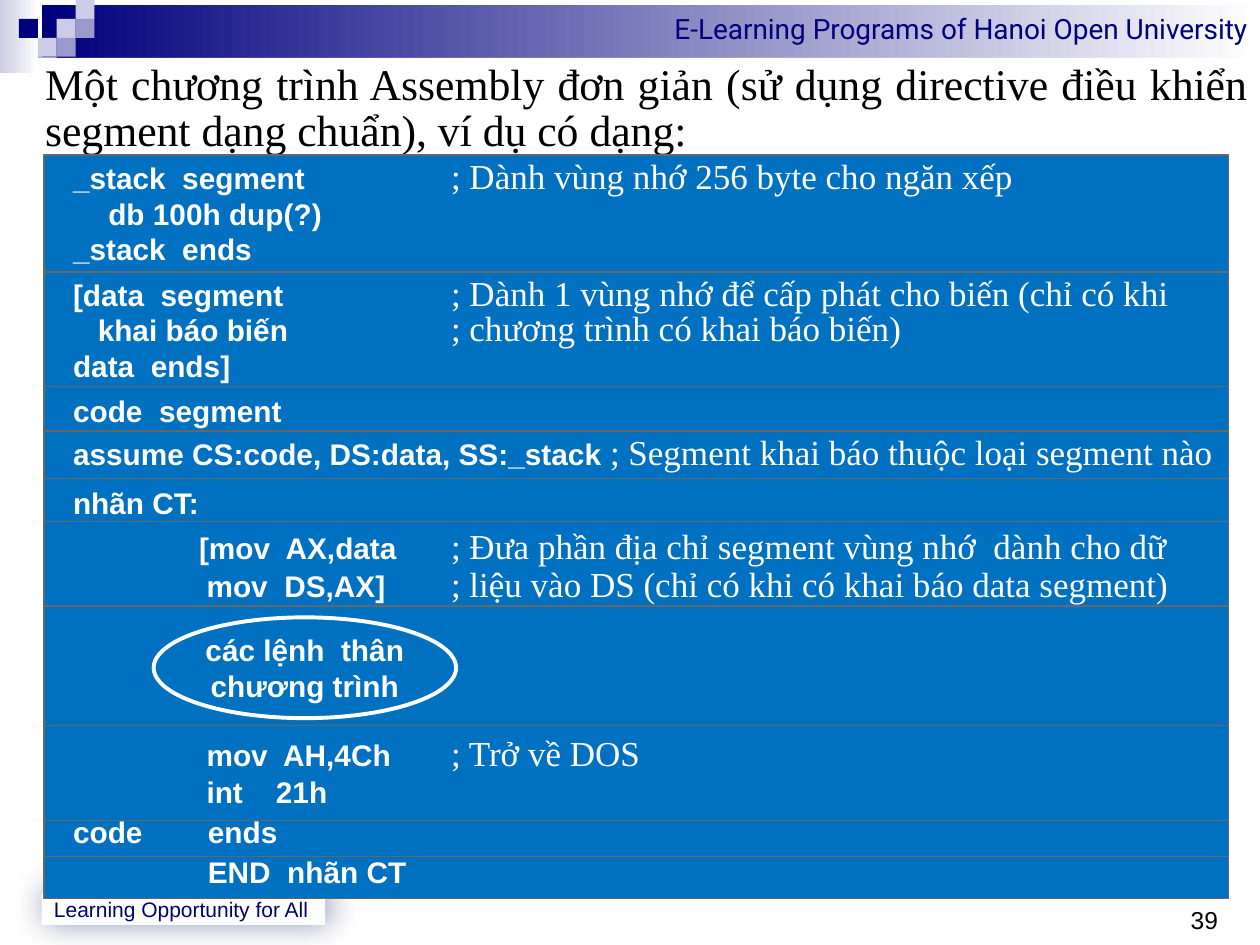
from lxml.etree import SubElement
from pptx import Presentation
from pptx.dml.color import RGBColor
from pptx.enum.shapes import MSO_SHAPE
from pptx.enum.text import MSO_ANCHOR, PP_ALIGN
from pptx.oxml.ns import qn
from pptx.util import Inches, Pt

# Grid of 100 columns by 75 rows, square cells
COLS, ROWS = 100, 75
CELL = Inches(0.1)
NAVY, LILAC, MAUVE = "00007D", "CCCCE6", "9999CC"
BLUE, WHITE, GREY, BLACK = "0070C0", "FFFFFF", "666666", "000000"
LEFT, WIDE = 3.5, 94
NOTE = 3  # tab of the comments, inches

# Code rows from back to front: top, height, line pitch in points,
# then lines of (code, comment, tabs, extra indent)
CODE = [
    (12.3, 9.4, 20, [
        ("_stack  segment\t", "; Dành vùng nhớ 256 byte cho ngăn xếp", [NOTE], 0),
        ("db 100h dup(?)", "", [], 0.28),
        ("_stack  ends", "", [], 0)]),
    (67.3, 4, None, [("\tEND  nhãn CT", "", [1.07], 0)]),
    (21.6, 9.4, 20, [
        ("[data  segment\t", "; Dành 1 vùng nhớ để cấp phát cho biến (chỉ có khi",
         [NOTE], 0),
        ("   khai báo biến\t", "; chương trình có khai báo biến)", [NOTE], 0),
        ("data  ends]", "", [], 0)]),
    (30.7, 3.5, None, [("code  segment", "", [], 0)]),
    (34.2, 3.8, 20, [
        ("assume CS:code, DS:data, SS:_stack ",
         "; Segment khai báo thuộc loại segment nào", [NOTE], 0)]),
    (38, 3.5, None, [("nhãn CT:", "", [], 0)]),
    (41.4, 7.2, 22, [
        ("\t[mov  AX,data\t", "; Đưa phần địa chỉ segment vùng nhớ  dành cho dữ",
         [1, NOTE], 0),
        ("\tmov  DS,AX]\t", "; liệu vào DS (chỉ có khi có khai báo data segment)",
         [1.06, NOTE], 0)]),
    (48.1, 10, None, []),
    (64.1, 3.9, None, [("code  \tends", "", [1.07], 0)]),
    (57.6, 7.5, None, [
        ("\tmov  AH,4Ch\t", "; Trở về DOS", [1.06, NOTE], 0),
        ("\tint    21h", "", [1.06], 0)]),
]


def tint(code):
    return RGBColor.from_string(code)


def box(slide, x, y, w, h, fill, edge=None, width=0.75, kind=MSO_SHAPE.RECTANGLE):
    """Shape on the grid; a pair of fills makes a gradient to the right."""
    shape = slide.shapes.add_shape(kind, *(round(n * CELL) for n in (x, y, w, h)))
    shape.shadow.inherit = False
    if isinstance(fill, tuple):
        shape.fill.gradient()
        shape.fill.gradient_angle = 0
        for stop, shade in zip(shape.fill.gradient_stops, fill):
            stop.color.rgb = tint(shade)
    else:
        shape.fill.solid()
        shape.fill.fore_color.rgb = tint(fill)
    if edge:
        shape.line.color.rgb = tint(edge)
        shape.line.width = Pt(width)
    else:
        shape.line.fill.background()
    shape.text_frame.vertical_anchor = MSO_ANCHOR.TOP
    return shape


def write(para, text, size=17, font="Arial", color=WHITE, bold=False,
          align=PP_ALIGN.LEFT, pitch=None):
    """Add a run to a paragraph and set its format."""
    para.alignment = align
    if pitch:
        para.line_spacing = Pt(pitch)
    run = para.add_run()
    run.text = text
    run.font.size, run.font.name, run.font.bold = Pt(size), font, bold
    run.font.color.rgb = tint(color)


def indent(para, left, tabs):
    """Set the left indent and the tab stops, in inches."""
    props = para._p.get_or_add_pPr()
    if left:
        props.set("marL", str(Inches(left)))
    if tabs:
        stops = SubElement(props, qn("a:tabLst"))
        for tab in tabs:
            SubElement(stops, qn("a:tab"), pos=str(Inches(tab)), algn="l")


def glow(shape, color, alpha, blur, dist, angle):
    """Outer shadow, with lengths in points."""
    effects = shape._element.spPr.find(qn("a:effectLst"))
    outer = SubElement(effects, qn("a:outerShdw"), blurRad=str(Pt(blur)),
                       dist=str(Pt(dist)), dir=str(angle * 60000),
                       algn="bl", rotWithShape="0")
    shade = SubElement(outer, qn("a:srgbClr"), val=color)
    SubElement(shade, qn("a:alpha"), val=str(alpha * 1000))


def header(slide):
    box(slide, 0, 0, 3.1, 5.8, (LILAC, WHITE))
    bar = box(slide, 3.3, 0.4, 96.7, 4.2, (NAVY, WHITE))
    write(bar.text_frame.paragraphs[0], "E-Learning Programs of Hanoi Open University",
          size=16, font="Roboto", color=NAVY, align=PP_ALIGN.RIGHT)
    # Mosaic of small squares: column, row, colour
    for col, row, shade in [(3, 1, LILAC), (4, 0, LILAC), (4, 1, MAUVE), (2, 2, LILAC),
                            (1, 1, NAVY), (3, 2, MAUVE), (2, 3, MAUVE)]:
        box(slide, col * 1.5, row * 1.5, 1.5, 1.5, shade)


def footer(slide):
    tag = box(slide, 3.3, 70.9, 22.5, 2.5, WHITE)
    glow(tag, "002060", 56, 19, 3, 315)
    tag.text_frame.vertical_anchor = MSO_ANCHOR.MIDDLE
    write(tag.text_frame.paragraphs[0], "Learning Opportunity for All",
          size=12, color="000072")


def title(slide):
    head = box(slide, 2.6, 4.6, 97.4, 8.3, WHITE)
    write(head.text_frame.paragraphs[0],
          "Một chương trình Assembly đơn giản (sử dụng directive điều khiển "
          "segment dạng chuẩn), ví dụ có dạng:",
          size=25, font="Times New Roman", color=BLACK,
          align=PP_ALIGN.JUSTIFY, pitch=26)


def block(slide, top, high, pitch, lines):
    """One framed row of the program."""
    frame = box(slide, LEFT, top, WIDE, high, BLUE, GREY).text_frame
    frame.margin_left = Inches(0.23)
    for i, (code, note, tabs, shift) in enumerate(lines):
        para = frame.add_paragraph() if i else frame.paragraphs[0]
        write(para, code, bold=True, pitch=pitch)
        if note:
            write(para, note, size=20, font="Times New Roman", pitch=pitch)
        indent(para, shift, tabs)


def body(slide):
    oval = box(slide, 12.2, 49, 24, 8, BLUE, WHITE, 2.25, MSO_SHAPE.OVAL)
    frame = oval.text_frame
    frame.margin_left = frame.margin_right = frame.margin_top = frame.margin_bottom = 0
    frame.vertical_anchor = MSO_ANCHOR.MIDDLE
    write(frame.paragraphs[0], "các lệnh  thân chương trình", bold=True,
          align=PP_ALIGN.CENTER)


def number(slide):
    text = slide.shapes.add_textbox(*(round(n * CELL) for n in (94.5, 71.3, 3, 3)))
    frame = text.text_frame
    frame.margin_left = frame.margin_right = 0
    write(frame.paragraphs[0], "39", size=14, color=BLACK)


def main():
    deck = Presentation()
    deck.slide_width, deck.slide_height = COLS * CELL, ROWS * CELL
    slide = deck.slides.add_slide(deck.slide_layouts[6])
    header(slide)
    footer(slide)
    title(slide)
    for row in CODE:
        block(slide, *row)
    body(slide)
    number(slide)
    deck.save("out.pptx")


if __name__ == "__main__":
    main()
